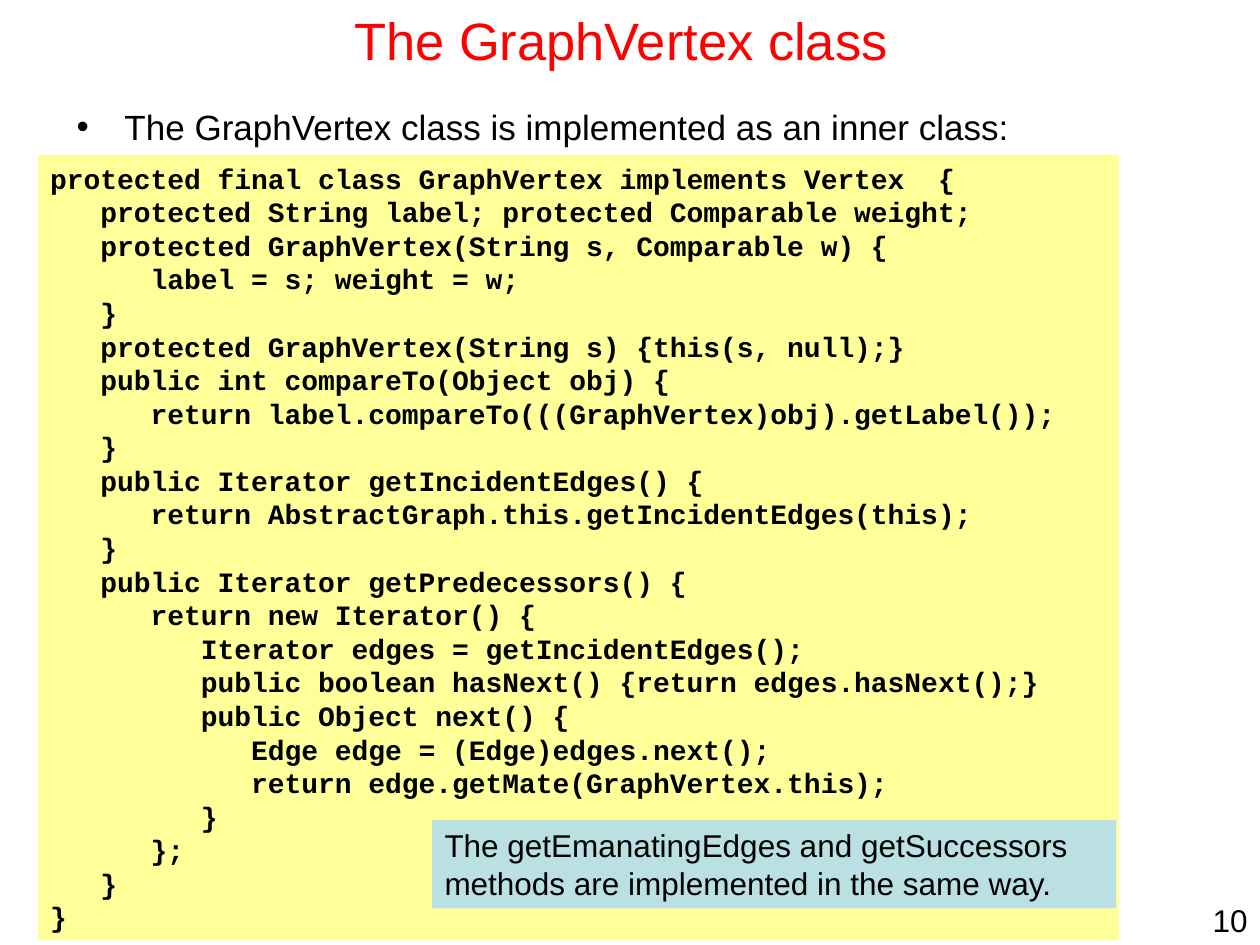
from pptx import Presentation
from pptx.dml.color import RGBColor
from pptx.enum.shapes import MSO_SHAPE
from pptx.enum.text import MSO_ANCHOR, PP_ALIGN
from pptx.oxml.ns import qn
from pptx.util import Inches, Pt
from lxml.etree import SubElement

RED = RGBColor(0xFF, 0x00, 0x00)
BLACK = RGBColor(0x00, 0x00, 0x00)
YELLOW = RGBColor(0xFF, 0xFF, 0x99)
TEAL = RGBColor(0xBB, 0xE0, 0xE3)

CODE = """\
protected final class GraphVertex implements Vertex  {
   protected String label; protected Comparable weight;
   protected GraphVertex(String s, Comparable w) {
      label = s; weight = w;
   }
   protected GraphVertex(String s) {this(s, null);}
   public int compareTo(Object obj) {
      return label.compareTo(((GraphVertex)obj).getLabel());
   }
   public Iterator getIncidentEdges() {
      return AbstractGraph.this.getIncidentEdges(this);
   }
   public Iterator getPredecessors() {
      return new Iterator() {
         Iterator edges = getIncidentEdges();
         public boolean hasNext() {return edges.hasNext();}
         public Object next() {
            Edge edge = (Edge)edges.next();
            return edge.getMate(GraphVertex.this);
         }
      };
   }
}"""

NOTE = """\
The getEmanatingEdges and getSuccessors
methods are implemented in the same way."""


def add_bullet(para, indent):
    """Give the paragraph a round bullet with a hanging indent."""
    props = para._p.get_or_add_pPr()
    props.set("marL", str(indent))
    props.set("indent", str(-indent))
    SubElement(props, qn("a:buFont"), typeface="Arial")
    SubElement(props, qn("a:buChar"), char="•")


def write(shape, text, size, font="Arial", color=BLACK, bold=False,
          align=PP_ALIGN.LEFT, anchor=MSO_ANCHOR.TOP, top=0.05,
          pitch=None, indent=None):
    """Fill the shape with one paragraph per line; pitch is the line height."""
    frame = shape.text_frame
    frame.word_wrap = True
    frame.vertical_anchor = anchor
    frame.margin_top = Inches(top)
    frame.text = text
    for para in frame.paragraphs:
        para.alignment = align
        if pitch:
            para.line_spacing = Pt(pitch)
        if indent:
            add_bullet(para, indent)
        for run in para.runs:
            run.font.name = font
            run.font.size = Pt(size)
            run.font.bold = bold
            run.font.color.rgb = color


def add_text(slide, place, text, size, **style):
    box = slide.shapes.add_textbox(*map(Inches, place))
    write(box, text, size, **style)


def add_panel(slide, place, fill, text, size, **style):
    panel = slide.shapes.add_shape(MSO_SHAPE.RECTANGLE, *map(Inches, place))
    panel.shadow.inherit = False
    panel.fill.solid()
    panel.fill.fore_color.rgb = fill
    panel.line.fill.background()
    write(panel, text, size, pitch=size * 1.2, **style)


def main():
    deck = Presentation()
    deck.slide_width, deck.slide_height = Inches(10), Inches(7.5)
    slide = deck.slides.add_slide(deck.slide_layouts[6])

    add_text(slide, (9.45, 7.1, 0.55, 0.4), "10", 18, align=PP_ALIGN.RIGHT)
    add_text(slide, (0.43, 0, 9, 0.63), "The GraphVertex class", 30,
             color=RED, align=PP_ALIGN.CENTER, anchor=MSO_ANCHOR.MIDDLE)
    add_text(slide, (0.51, 0.76, 9, 0.58),
             "The GraphVertex class is implemented as an inner class:", 20,
             top=0.08, indent=Inches(0.38))
    add_panel(slide, (0.3, 1.23, 8.58, 6.23), YELLOW, CODE, 16,
              font="Courier New", bold=True)
    add_panel(slide, (3.43, 6.51, 5.43, 0.7), TEAL, NOTE, 18)

    deck.save("out.pptx")


if __name__ == "__main__":
    main()
